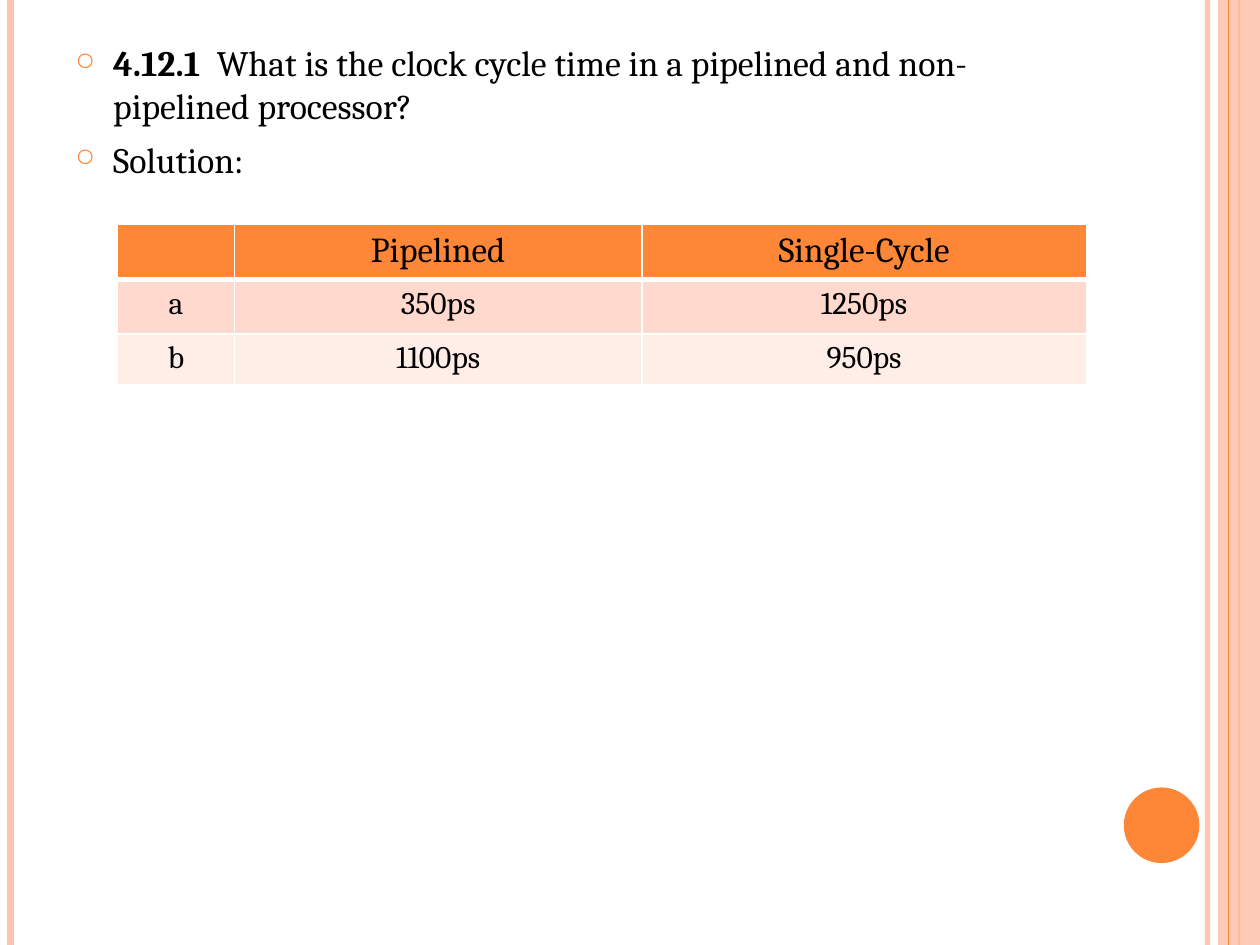
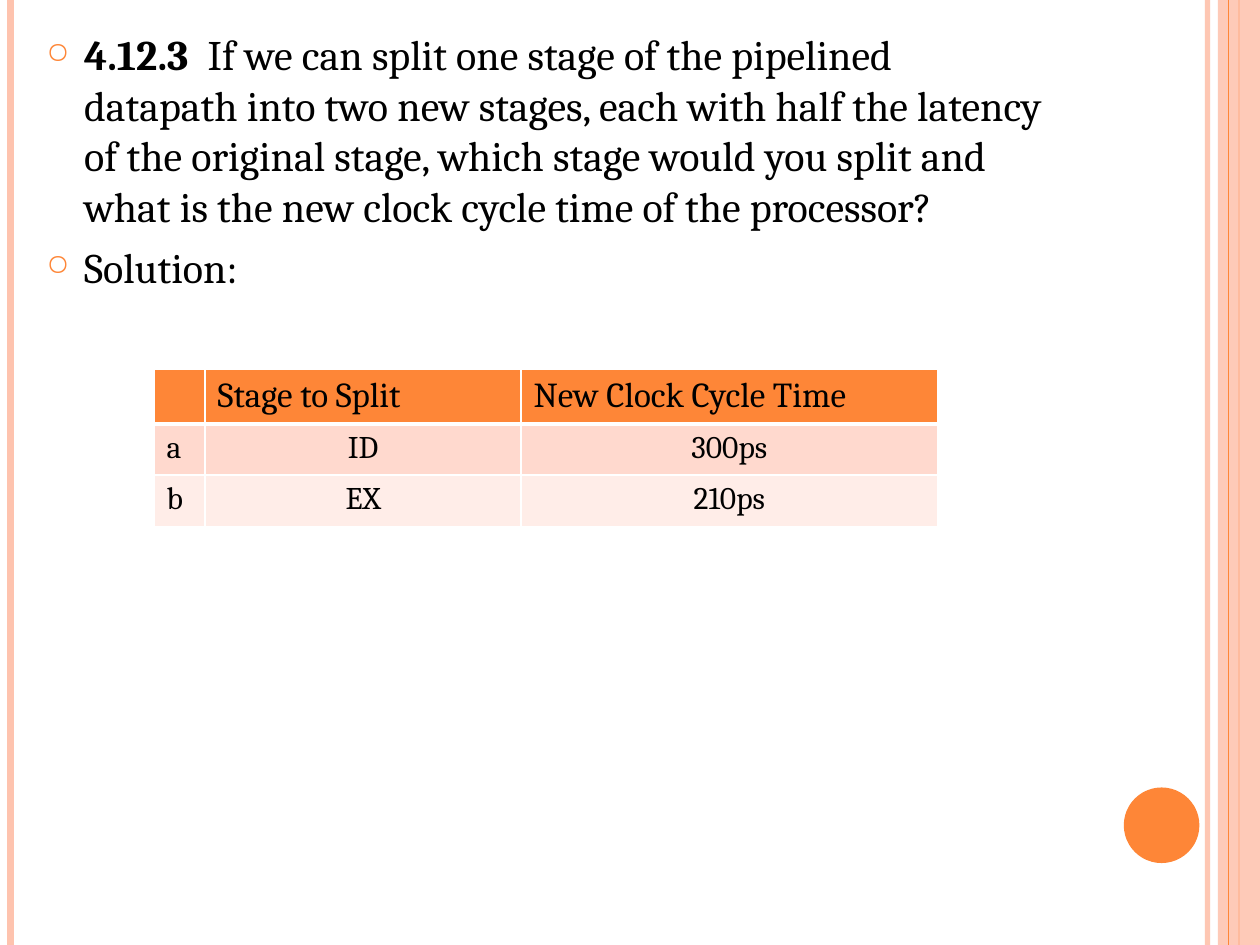
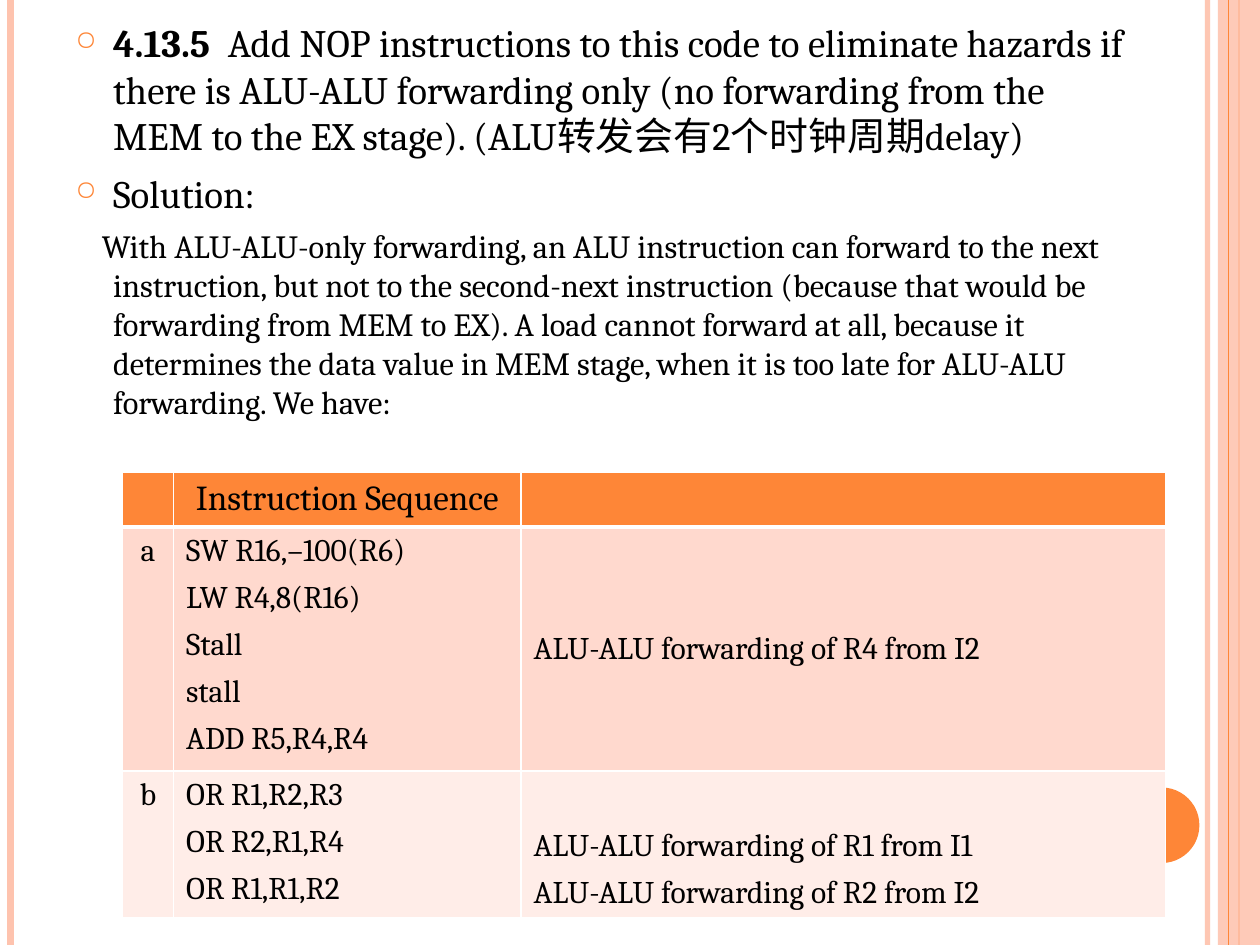
from lxml.etree import SubElement
from pptx import Presentation
from pptx.dml.color import RGBColor
from pptx.enum.shapes import MSO_CONNECTOR, MSO_SHAPE
from pptx.enum.text import MSO_ANCHOR, PP_ALIGN
from pptx.oxml.ns import qn
from pptx.util import Pt

HUES = {"peach": "FEC3AE", "orange": "FE8637", "rose": "FFD9CE",
        "blush": "FFEDE8", "white": "FFFFFF", "black": "000000"}
FONT = "Cambria"
ALIGN = {"l": PP_ALIGN.LEFT, "c": PP_ALIGN.CENTER}
WIDE, HIGH = 720, 540
STEP = 21.6  # hanging indent of the bullets
BANDS = ["orange", "rose", "blush"]  # table rows from the top

# Rails: x, width, colour, opacity in percent; None marks the side panel
RAILS = [(690, 3, "peach", 93), (6, 4.5, "peach", 100), (708, 1.5, "orange", 100),
         (696, None, "peach", 87), (702, 0.75, "orange", 100)]

SLIDES = [
    {"box": (36, 20, 588, 102), "size": 20.4, "tab": 80.8, "mark": "4.12.1",
     "ask": "What is the clock cycle time in a pipelined and non-pipelined processor?",
     "grid": {"at": (67.2, 128.4), "cols": [66.8, 232.8, 254], "rows": [29.3, 31.2, 28.6],
              "align": ["ccc", "ccc", "ccc"],
              "cells": [["", "Pipelined", "Single-Cycle"],
                        ["a", "350ps", "1250ps"],
                        ["b", "1100ps", "950ps"]]}},
    {"box": (19.4, 13, 588, 188.6), "size": 24, "tab": 92.2, "mark": "4.12.3",
     "ask": "If we can split one stage of the pipelined datapath into two new stages, "
            "each with half the latency of the original stage, which stage would you "
            "split and what is the new clock cycle time of the processor?",
     "grid": {"at": (88, 211), "cols": [29.2, 180.6, 238], "rows": [29.3, 29.3, 29.3],
              "align": ["lll", "lcc", "lcc"],
              "cells": [["", "Stage to Split", "New Clock Cycle Time"],
                        ["a", "ID", "300ps"],
                        ["b", "EX", "210ps"]]}},
    {"box": (36, 7.2, 619.2, 251.3), "size": 22.2, "tab": 87.1, "mark": "4.13.5",
     "ask": "Add NOP instructions to this code to eliminate hazards if there is ALU-ALU "
            "forwarding only (no forwarding from the MEM to the EX stage). "
            "(ALU转发会有2个时钟周期delay)",
     "note": "With ALU-ALU-only forwarding, an ALU instruction can forward to the next "
             "instruction, but not to the second-next instruction (because that would be "
             "forwarding from MEM to EX). A load cannot forward at all, because it "
             "determines the data value in MEM stage, when it is too late for ALU-ALU "
             "forwarding. We have:",
     "grid": {"at": (70, 270), "cols": [29.2, 198.6, 368.2], "rows": [29.7, 135, 81],
              "align": ["ccl", "cll", "cll"],
              "anchor": {(1, 2): MSO_ANCHOR.MIDDLE, (2, 2): MSO_ANCHOR.BOTTOM},
              "cells": [["", "Instruction Sequence", ""],
                        ["a", "SW R16,–100(R6)\nLW R4,8(R16)\nStall\nstall\nADD R5,R4,R4",
                         "ALU-ALU forwarding of R4 from I2"],
                        ["b", "OR R1,R2,R3\nOR R2,R1,R4\nOR R1,R1,R2",
                         "ALU-ALU forwarding of R1 from I1\n"
                         "ALU-ALU forwarding of R2 from I2"]]}},
]


def style(item, values):
    """Set each named value on the item."""
    for name, value in values.items():
        setattr(item, name, value)


def paint(fill, hue, alpha=100):
    """Fill with a solid colour at the given opacity."""
    fill.solid()
    fill.fore_color.rgb = RGBColor.from_string(HUES[hue])
    if alpha < 100:
        tone = fill._xPr.find(qn("a:solidFill"))[0]
        SubElement(tone, qn("a:alpha"), val=str(alpha * 1000))


deck = Presentation()
style(deck, {"slide_width": Pt(WIDE), "slide_height": Pt(HIGH)})

for page in SLIDES:
    slide = deck.slides.add_slide(deck.slide_layouts[6])
    shapes = slide.shapes
    paint(slide.background.fill, "white")

    # Side rails and panel
    for x, width, hue, alpha in RAILS:
        if width is None:
            panel = shapes.add_shape(MSO_SHAPE.RECTANGLE, Pt(x), 0, Pt(WIDE - x), Pt(HIGH))
            panel.shadow.inherit = False
            panel.line.fill.background()
            paint(panel.fill, hue, alpha)
            continue
        rail = shapes.add_connector(MSO_CONNECTOR.STRAIGHT, Pt(x), 0, Pt(x), Pt(HIGH))
        rail.line.width = Pt(width)
        paint(rail.line.fill, hue, alpha)
        SubElement(rail._element.spPr, qn("a:effectLst"))

    # Corner disc
    disc = shapes.add_shape(MSO_SHAPE.OVAL, Pt(642.2), Pt(450), Pt(43.2), Pt(43.2))
    disc.shadow.inherit = False
    disc.line.fill.background()
    paint(disc.fill, "orange")

    # Question and solution
    frame = shapes.add_textbox(*map(Pt, page["box"])).text_frame
    frame.word_wrap = True
    lines = [[page["mark"] + "\t", page["ask"]], ["Solution:"]]
    if "note" in page:
        lines.append([page["note"]])
    for row, parts in enumerate(lines):
        para = frame.paragraphs[0] if row == 0 else frame.add_paragraph()
        para.space_before = Pt(6 if row else 0)
        note = row == 2
        props = para._p.get_or_add_pPr()
        props.set("marL", str(Pt(STEP)))
        props.set("indent", str(Pt(-6.5 if note else -STEP)))
        if not note:
            tint = SubElement(props, qn("a:buClr"))
            SubElement(tint, qn("a:srgbClr"), val=HUES["orange"])
            SubElement(props, qn("a:buSzPct"), val="70000")
            SubElement(props, qn("a:buChar"), char="○")
        if row == 0:
            tabs = SubElement(props, qn("a:tabLst"))
            SubElement(tabs, qn("a:tab"), pos=str(Pt(page["tab"])), algn="l")
        for part in parts:
            run = para.add_run()
            run.text = part
            style(run.font, {"name": FONT, "size": Pt(18.5 if note else page["size"]),
                             "bold": part.endswith("\t")})
            paint(run.font.fill, "black")

    # Answer table
    grid = page["grid"]
    cols, rows = grid["cols"], grid["rows"]
    table = shapes.add_table(len(rows), len(cols), *map(Pt, grid["at"]),
                             Pt(sum(cols)), Pt(sum(rows))).table
    for col, width in zip(table.columns, cols):
        col.width = Pt(width)
    for r, texts in enumerate(grid["cells"]):
        table.rows[r].height = Pt(rows[r])
        for c, text in enumerate(texts):
            cell = table.cell(r, c)
            props = cell._tc.get_or_add_tcPr()
            rims = {"L": 1, "R": 1, "T": 3 if r == 1 else 1, "B": 3 if r == 0 else 1}
            for side, width in rims.items():
                rim = SubElement(props, qn("a:ln" + side), w=str(Pt(width)))
                tint = SubElement(rim, qn("a:solidFill"))
                SubElement(tint, qn("a:srgbClr"), val=HUES["white"])
            paint(cell.fill, BANDS[r])
            cell.vertical_anchor = grid.get("anchor", {}).get((r, c), MSO_ANCHOR.TOP)
            cell.text = text
            for n, para in enumerate(cell.text_frame.paragraphs):
                style(para, {"alignment": ALIGN[grid["align"][r][c]],
                             "space_before": Pt(6 if n else 0)})
                style(para.font, {"name": FONT, "size": Pt(18 if r else 20), "bold": False})
                paint(para.font.fill, "black")
                for run in para.runs:
                    style(run.font, {"name": FONT, "size": Pt(18 if r else 20),
                                     "bold": False})
                    paint(run.font.fill, "black")

deck.save("out.pptx")
